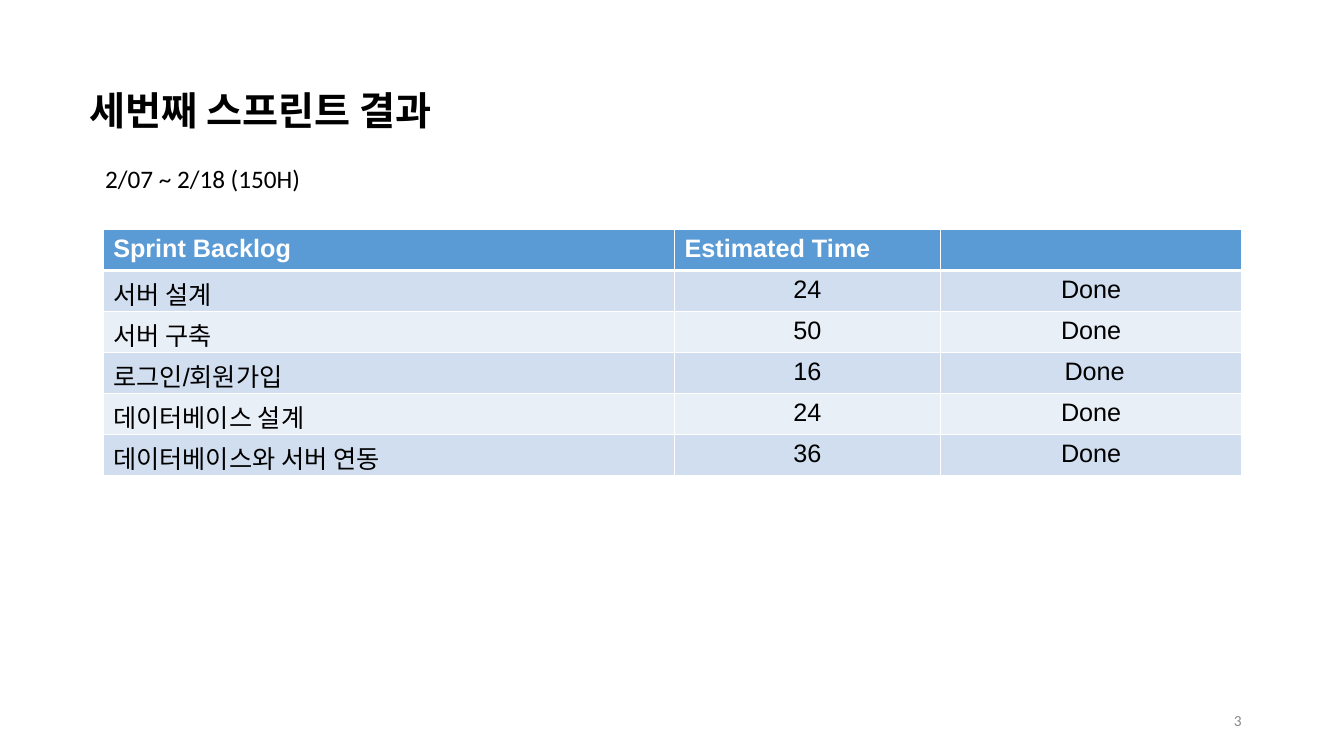
from dataclasses import dataclass

from lxml.etree import SubElement
from pptx import Presentation
from pptx.dml.color import RGBColor
from pptx.enum.text import MSO_ANCHOR, PP_ALIGN
from pptx.oxml.ns import qn
from pptx.util import Cm, Pt


@dataclass(frozen=True)
class Theme:
    ink: str = "000000"
    pale: str = "FFFFFF"
    muted: str = "888888"
    head: str = "5B9BD5"
    bands: tuple = ("D0DEEF", "E9EFF7")
    title: int = 28
    body: int = 18
    small: int = 11
    text: str = "Calibri"
    grid: str = "Arial"
    thin: int = 1
    thick: int = 3


THEME = Theme()

HEADS = ("Sprint Backlog", "Estimated Time", "")
TASKS = (
    ("서버 설계", "24", "Done"),
    ("서버 구축", "50", "Done"),
    ("로그인/회원가입", "16", " Done"),
    ("데이터베이스 설계", "24", "Done"),
    ("데이터베이스와 서버 연동", "36", "Done"),
)
SHARES = (14.4, 6.7, 7.6)


def write(frame, text, color, align=PP_ALIGN.LEFT, **form):
    line = frame.paragraphs[0]
    line.alignment = align
    run = line.add_run()
    run.text = text
    for key, value in form.items():
        setattr(run.font, key, value)
    run.font.color.rgb = RGBColor.from_string(color)


def label(slide, box, text, color, size, anchor=MSO_ANCHOR.TOP,
          align=PP_ALIGN.LEFT, bold=False):
    frame = slide.shapes.add_textbox(*map(Cm, box)).text_frame
    frame.word_wrap = True
    frame.vertical_anchor = anchor
    write(frame, text, color, align, name=THEME.text, size=Pt(size), bold=bold)


def edge(cell, widths):
    props = cell._tc.get_or_add_tcPr()
    for spot, (side, width) in enumerate(widths.items()):
        line = props.makeelement(qn(f"a:{side}"), {"w": str(Pt(width))})
        fill = SubElement(line, qn("a:solidFill"))
        SubElement(fill, qn("a:srgbClr"), val=THEME.pale)
        props.insert(spot, line)


def header(slide, box):
    left, top, width, height = box
    label(slide, (left, top, width, 1.45), "세번째 스프린트 결과",
          THEME.ink, THEME.title, bold=True)
    label(slide, (left + 0.4, top + 1.95, 8.4, height - 1.95),
          "2/07 ~ 2/18 (150H)", THEME.ink, THEME.body)


def backlog(slide, box):
    left, top, width, height = box
    rows = (HEADS, *TASKS)
    grid = slide.shapes.add_table(len(rows), len(HEADS), *map(Cm, box)).table
    for col, share in zip(grid.columns, SHARES):
        col.width = Cm(width * share / sum(SHARES))
    for row in grid.rows:
        row.height = Cm(height / len(rows))
    for r, words in enumerate(rows):
        first = r == 0
        fill = THEME.head if first else THEME.bands[(r - 1) % 2]
        color = THEME.pale if first else THEME.ink
        widths = {
            "lnL": THEME.thin,
            "lnR": THEME.thin,
            "lnT": THEME.thick if r == 1 else THEME.thin,
            "lnB": THEME.thick if first else THEME.thin,
        }
        for c, word in enumerate(words):
            cell = grid.cell(r, c)
            cell.fill.solid()
            cell.fill.fore_color.rgb = RGBColor.from_string(fill)
            edge(cell, widths)
            if word:
                align = PP_ALIGN.LEFT if first or c == 0 else PP_ALIGN.CENTER
                write(cell.text_frame, word, color, align, name=THEME.grid,
                      size=Pt(THEME.body), bold=first)


def footer(slide, box):
    label(slide, box, "3", THEME.muted, THEME.small,
          MSO_ANCHOR.MIDDLE, PP_ALIGN.RIGHT)


def main():
    deck = Presentation()
    deck.slide_width, deck.slide_height = Cm(33.87), Cm(19.05)
    slide = deck.slides.add_slide(deck.slide_layouts[6])
    header(slide, (2, 2.05, 13, 3))
    backlog(slide, (2.6, 5.78, 28.7, 6.2))
    footer(slide, (23.92, 17.66, 7.62, 1.01))
    deck.save("out.pptx")


if __name__ == "__main__":
    main()
